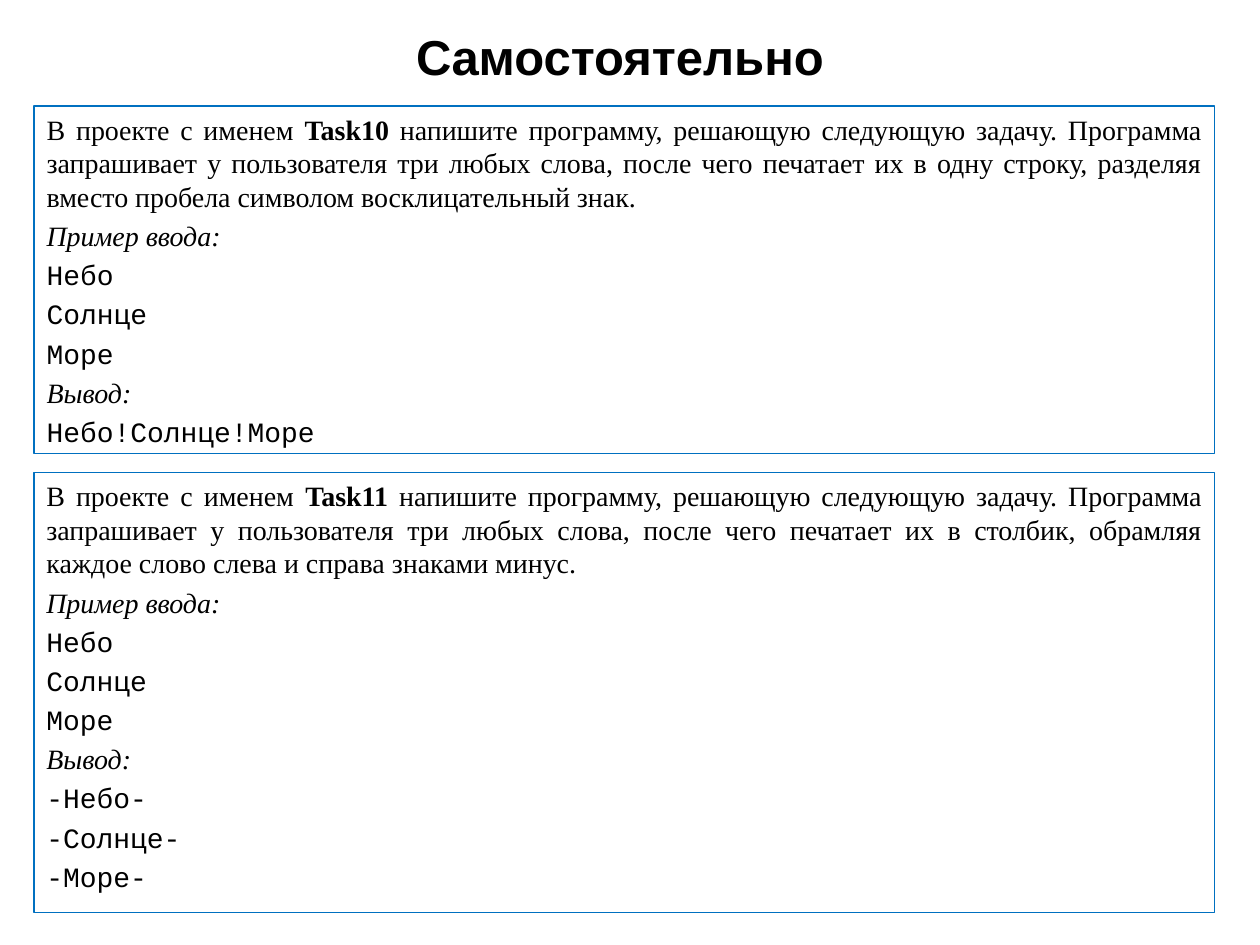
from dataclasses import dataclass

from lxml import etree
from pptx import Presentation
from pptx.dml.color import RGBColor
from pptx.enum.shapes import MSO_SHAPE
from pptx.enum.text import MSO_ANCHOR, MSO_AUTO_SIZE, PP_ALIGN
from pptx.oxml.ns import qn
from pptx.util import Inches, Pt

RECT = MSO_SHAPE.RECTANGLE
TOP, MIDDLE = MSO_ANCHOR.TOP, MSO_ANCHOR.MIDDLE
LEFT, CENTER, JUSTIFY = PP_ALIGN.LEFT, PP_ALIGN.CENTER, PP_ALIGN.JUSTIFY
NO_FIT = MSO_AUTO_SIZE.NONE

PROSE = {"name": "Times New Roman", "size": Pt(16), "bold": False, "italic": False}
STRONG = PROSE | {"bold": True}
LABEL = PROSE | {"italic": True}
CODE = PROSE | {"name": "Courier New"}
HEAD = {"name": "Arial", "size": Pt(28), "bold": True}

INPUT = ["Небо", "Солнце", "Море"]


@dataclass
class Task:
    name: str
    goal: str
    output: list[str]
    top: float
    height: float
    align: PP_ALIGN


TASKS = [
    Task("Task10", "печатает их в одну строку, разделяя вместо пробела символом "
         "восклицательный знак.", ["!".join(INPUT)], 0.84, 2.76, LEFT),
    Task("Task11", "печатает их в столбик, обрамляя каждое слово слева и справа "
         "знаками минус.", [f"-{word}-" for word in INPUT], 3.75, 3.49, JUSTIFY),
]


def color(code: str) -> RGBColor:
    return RGBColor.from_string(code)


def place(shape, left: float, top: float, width: float, height: float) -> None:
    shape.left, shape.top = Inches(left), Inches(top)
    shape.width, shape.height = Inches(width), Inches(height)


def add_run(para, text: str, style: dict) -> None:
    run = para.add_run()
    run.text = text
    for key, value in style.items():
        setattr(run.font, key, value)
    run.font.color.rgb = color("000000")


def set_frame(frame, anchor: MSO_ANCHOR) -> None:
    frame.word_wrap = True
    frame.auto_size = NO_FIT
    frame.vertical_anchor = anchor


def strip_bullet(para) -> None:
    props = para._p.get_or_add_pPr()
    props.set("marL", "0")
    props.set("indent", "0")
    etree.SubElement(props, qn("a:buNone"))


def fill_task(shape, task: Task) -> None:
    """Frame the box and write the task with its sample input and output."""
    place(shape, 0.27, task.top, 9.37, task.height)
    shape.fill.solid()
    shape.fill.fore_color.rgb = color("FFFFFF")
    shape.line.color.rgb = color("0070C0")
    shape.line.width = Pt(0.75)
    frame = shape.text_frame
    set_frame(frame, TOP)

    intro = [
        ("В проекте с именем ", PROSE),
        (f"{task.name} ", STRONG),
        ("напишите программу, решающую следующую задачу. Программа запрашивает "
         f"у пользователя три любых слова, после чего {task.goal}", PROSE),
    ]
    rows = [intro, [("Пример ввода:", LABEL)]]
    rows += [[(word, CODE)] for word in INPUT]
    rows += [[("Вывод:", LABEL)]]
    rows += [[(line, CODE)] for line in task.output]

    for i, row in enumerate(rows):
        para = frame.add_paragraph() if i else frame.paragraphs[0]
        strip_bullet(para)
        para.alignment = task.align if i else JUSTIFY
        para.space_before = Pt(3.2 if i else 0)
        for text, style in row:
            add_run(para, text, style)


def main() -> None:
    deck = Presentation()
    deck.slide_width, deck.slide_height = Inches(10), Inches(7.5)
    slide = deck.slides.add_slide(deck.slide_layouts[1])

    title = slide.shapes.title
    place(title, 0.42, 0.13, 9, 0.62)
    set_frame(title.text_frame, MIDDLE)
    para = title.text_frame.paragraphs[0]
    para.alignment = CENTER
    add_run(para, "Cамостоятельно", HEAD)

    box = slide.shapes.add_shape(RECT, 0, 0, 0, 0)
    box.shadow.inherit = False
    for shape, task in zip((slide.placeholders[1], box), TASKS):
        fill_task(shape, task)

    deck.save("out.pptx")


if __name__ == "__main__":
    main()
